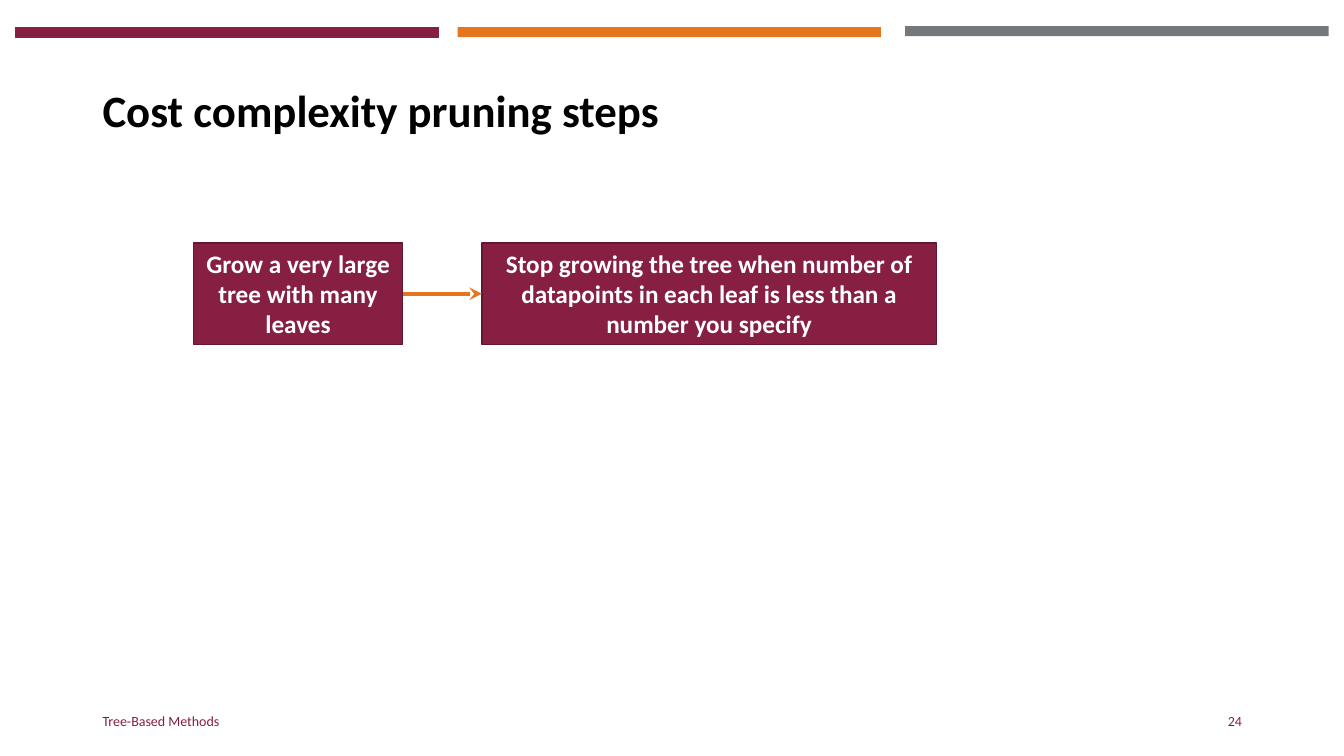
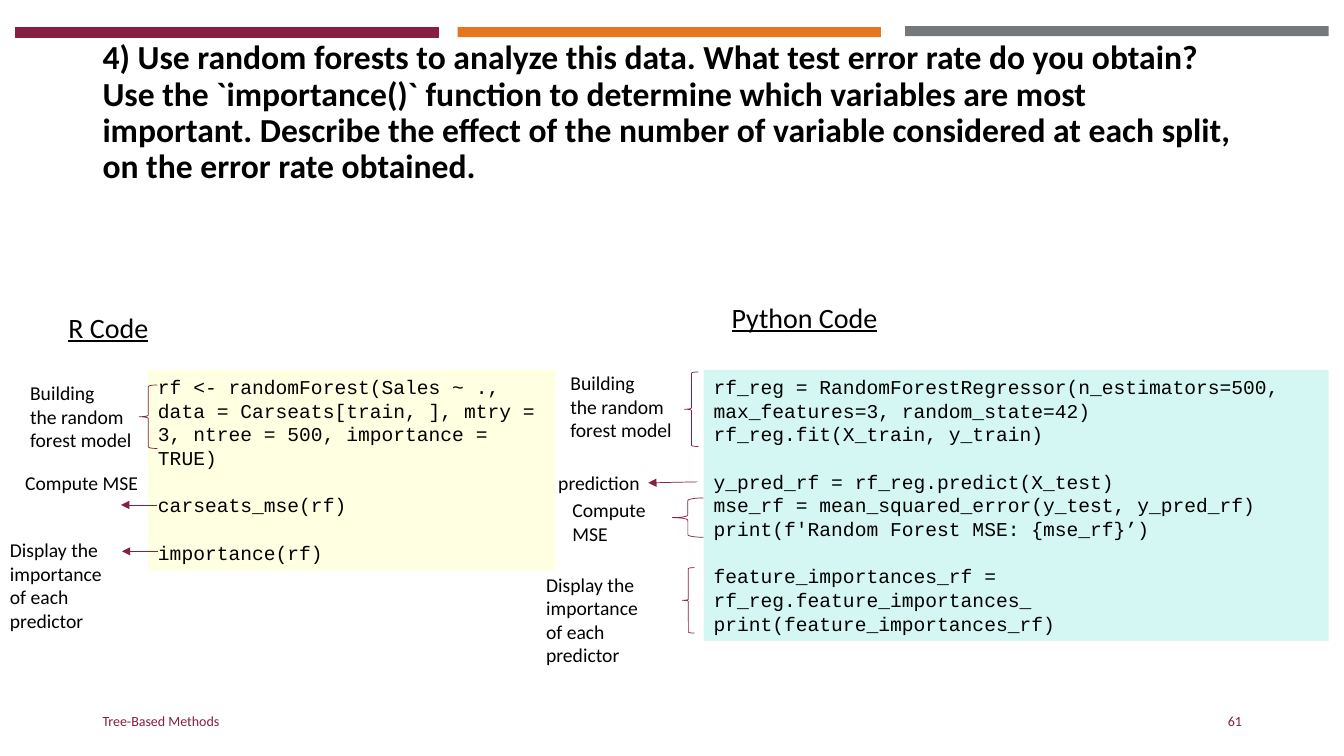
from pptx import Presentation
from pptx.dml.color import RGBColor
from pptx.enum.shapes import MSO_CONNECTOR, MSO_SHAPE
from pptx.enum.text import MSO_ANCHOR, PP_ALIGN
from pptx.oxml.ns import qn
from pptx.util import Pt
from lxml.etree import SubElement

MAROON = RGBColor(0x86, 0x1F, 0x41)
EDGE = RGBColor(0x63, 0x17, 0x30)
ORANGE = RGBColor(0xE5, 0x75, 0x1F)
GREY = RGBColor(0x75, 0x78, 0x7B)
CREAM = RGBColor(0xFF, 0xFF, 0xE1)
MINT = RGBColor(0xD5, 0xF7, 0xF3)
BLACK = RGBColor(0, 0, 0)
WHITE = RGBColor(0xFF, 0xFF, 0xFF)

SANS = "Calibri"
MONO = "Courier New"
PITCH = 16.9

BARS = [
    (10.8, 19.4, MAROON, MAROON),
    (646.6, 18.7, GREY, None),
    (326.9, 19.4, ORANGE, None),
]

BUILD = ["Building", "the random forest model"]
SHOW = ["Display the importance", "of each", "predictor"]
NOTES = [
    (14.4, 268.6, 98, BUILD),
    (10.8, 332.6, 98, ["Compute MSE"]),
    (0, 380.9, 103, SHOW),
    (400.3, 261.4, 98, BUILD),
    (391.7, 332.6, 89.3, ["prediction"]),
    (401.8, 352.1, 84.2, ["Compute MSE"]),
    (383, 405.4, 103, SHOW),
]
BRACES = [
    (99.4, 275, 13, 45.4),
    (488.9, 265.7, 10, 53.3),
    (480.2, 355.7, 22.3, 28.1),
    (487.4, 405.4, 8.6, 46.8),
]
ARROWS = [
    (112.3, 360.7, 86.4, 360.7),
    (113, 393.8, 87.1, 393.8),
    (498.2, 344.2, 463, 344.9),
]

R_CODE = [
    ["rf <- randomForest(Sales ~ ., data = Carseats[train, ], "
     "mtry = 3, ntree = 500, importance = TRUE)"],
    ["carseats_mse(rf)"],
    ["importance(rf)"],
]
PY_CODE = [
    ["rf_reg = RandomForestRegressor(n_estimators=500, "
     "max_features=3, random_state=42)",
     "rf_reg.fit(X_train, y_train)"],
    ["y_pred_rf = rf_reg.predict(X_test)",
     "mse_rf = mean_squared_error(y_test, y_pred_rf)",
     "print(f'Random Forest MSE: {mse_rf}’)"],
    ["feature_importances_rf = rf_reg.feature_importances_",
     "print(feature_importances_rf)"],
]


def write(shape, lines, size, color=BLACK, font=SANS, bold=False,
          align=PP_ALIGN.LEFT, anchor=MSO_ANCHOR.TOP):
    frame = shape.text_frame
    frame.word_wrap = True
    frame.vertical_anchor = anchor
    frame.text = "\n".join(lines)
    for para in frame.paragraphs:
        para.alignment = align
        para.font.size = Pt(size)
        para.font.name = font
        para.font.bold = bold
        para.font.color.rgb = color
    return frame.paragraphs


def add_text(slide, left, top, width, height, lines, size, **style):
    box = slide.shapes.add_textbox(Pt(left), Pt(top), Pt(width), Pt(height))
    return write(box, lines, size, **style)


def add_form(slide, kind, left, top, width, height, fill=None, line=None,
             weight=1):
    form = slide.shapes.add_shape(
        kind, Pt(left), Pt(top), Pt(width), Pt(height))
    form.shadow.inherit = False
    if fill is None:
        form.fill.background()
    else:
        form.fill.solid()
        form.fill.fore_color.rgb = fill
    if line is None:
        form.line.fill.background()
    else:
        form.line.color.rgb = line
        form.line.width = Pt(weight)
    return form


def add_arrow(slide, ends, color, weight, head):
    arrow = slide.shapes.add_connector(
        MSO_CONNECTOR.STRAIGHT, *(Pt(end) for end in ends))
    arrow.line.color.rgb = color
    arrow.line.width = Pt(weight)
    SubElement(arrow.line._get_or_add_ln(), qn("a:tailEnd"), type=head)
    SubElement(arrow._element.spPr, qn("a:effectLst"))
    return arrow


def add_page(deck, title, size, number):
    slide = deck.slides.add_slide(deck.slide_layouts[6])
    for left, top, fill, line in BARS:
        add_form(slide, MSO_SHAPE.RECTANGLE, left, top, 302.4, 7.2,
                 fill, line, 0.75)
    head = add_text(slide, 66.2, 28.8, 828, 104.4, [title], size,
                    bold=True, anchor=MSO_ANCHOR.MIDDLE)
    head[0].line_spacing = 0.9
    foot = {"color": MAROON, "anchor": MSO_ANCHOR.MIDDLE}
    add_text(slide, 66.2, 500.4, 324, 28.8, ["Tree-Based Methods"], 10, **foot)
    add_text(slide, 678.2, 500.4, 216, 28.8, [str(number)], 10,
             align=PP_ALIGN.RIGHT, **foot)
    return slide


def add_step(slide, left, width, text):
    step = add_form(slide, MSO_SHAPE.RECTANGLE, left, 173.5, width, 72.7,
                    MAROON, EDGE)
    write(step, [text], 18, color=WHITE, bold=True, align=PP_ALIGN.CENTER)
    return step


def add_label(slide, left, top, text):
    para = add_text(slide, left, top, 160, 40.3, [text], 20,
                    anchor=MSO_ANCHOR.MIDDLE)[0]
    para.line_spacing = 1.5
    para.space_after = Pt(12)
    para.font.underline = True


def add_code(slide, left, width, height, fill, blocks):
    panel = add_form(slide, MSO_SHAPE.RECTANGLE, left, 264.2, width, height,
                     fill)
    lines = [line for block in blocks for line in block]
    paras = write(panel, lines, 14, font=MONO)
    for para in paras:
        para.line_spacing = Pt(PITCH)
    start = 0
    for block in blocks[:-1]:
        start += len(block)
        paras[start].space_before = Pt(PITCH)


def draw_steps(deck):
    slide = add_page(deck, "Cost complexity pruning steps", 32, 24)
    grow = add_step(slide, 138.2, 149.4, "Grow a very large tree with many leaves")
    stop = add_step(slide, 344.2, 324.7,
                    "Stop growing the tree when number of datapoints in each "
                    "leaf is less than a number you specify")
    arrow = add_arrow(slide, (287.6, 209.8, 344.2, 209.8), ORANGE, 3, "stealth")
    arrow.begin_connect(grow, 3)
    arrow.end_connect(stop, 1)


def draw_forest(deck):
    slide = add_page(
        deck,
        "4) Use random forests to analyze this data. What test error rate do "
        "you obtain? Use the `importance()` function to determine which "
        "variables are most important. Describe the effect of the number of "
        "variable considered at each split, on the error rate obtained.",
        24, 61)
    add_label(slide, 41.8, 207.4, "R Code")
    add_label(slide, 515.5, 200.2, "Python Code")
    add_code(slide, 105.8, 290.9, 143.3, CREAM, R_CODE)
    add_code(slide, 502.6, 446.4, 193.7, MINT, PY_CODE)
    for left, top, width, lines in NOTES:
        add_text(slide, left, top, width, 24.3 * len(lines), lines, 14)
    for brace in BRACES:
        add_form(slide, MSO_SHAPE.LEFT_BRACE, *brace, line=MAROON, weight=0.5)
    for ends in ARROWS:
        add_arrow(slide, ends, MAROON, 0.5, "triangle")


def main():
    deck = Presentation()
    deck.slide_width = Pt(960)
    deck.slide_height = Pt(540)
    draw_steps(deck)
    draw_forest(deck)
    deck.save("out.pptx")


if __name__ == "__main__":
    main()
